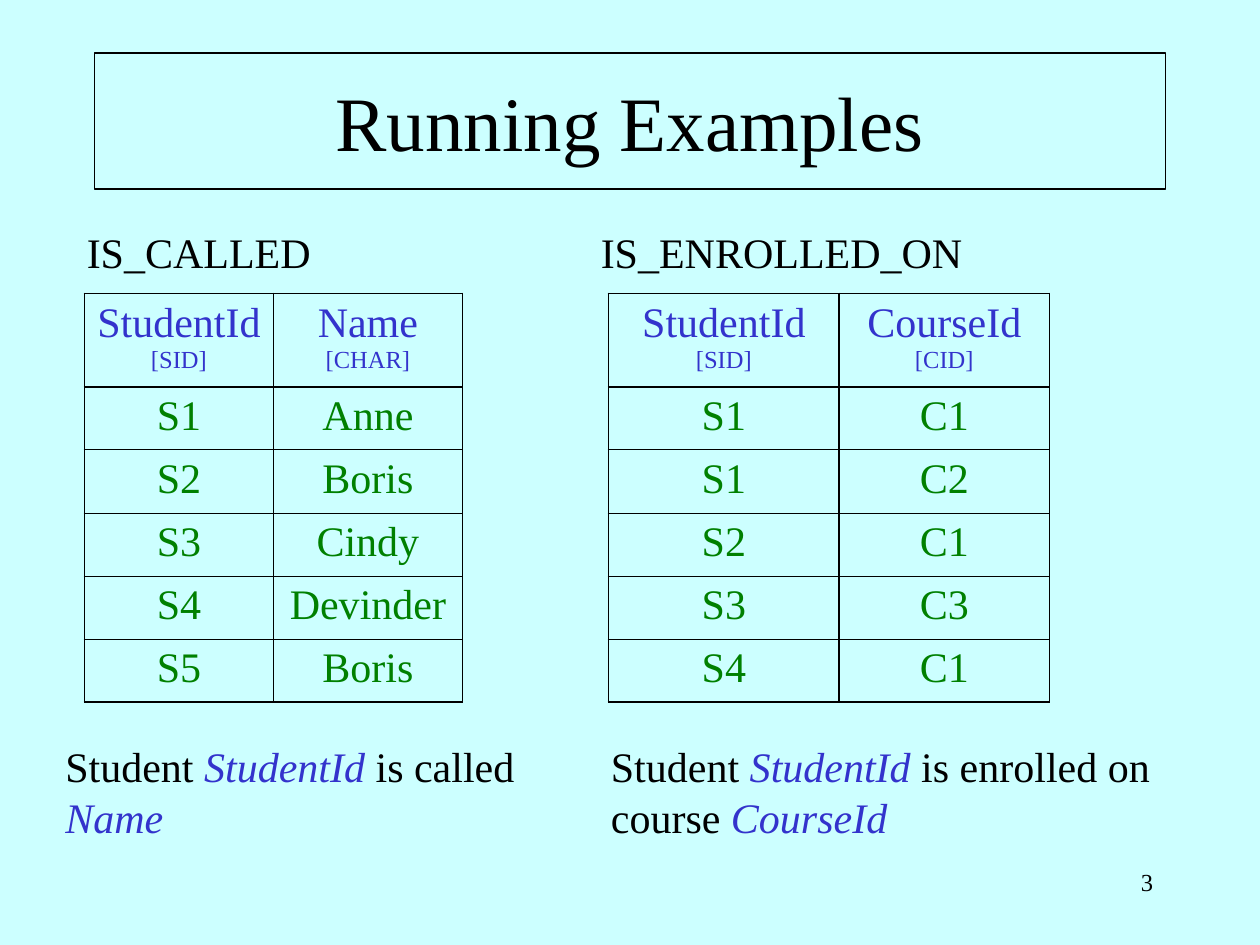
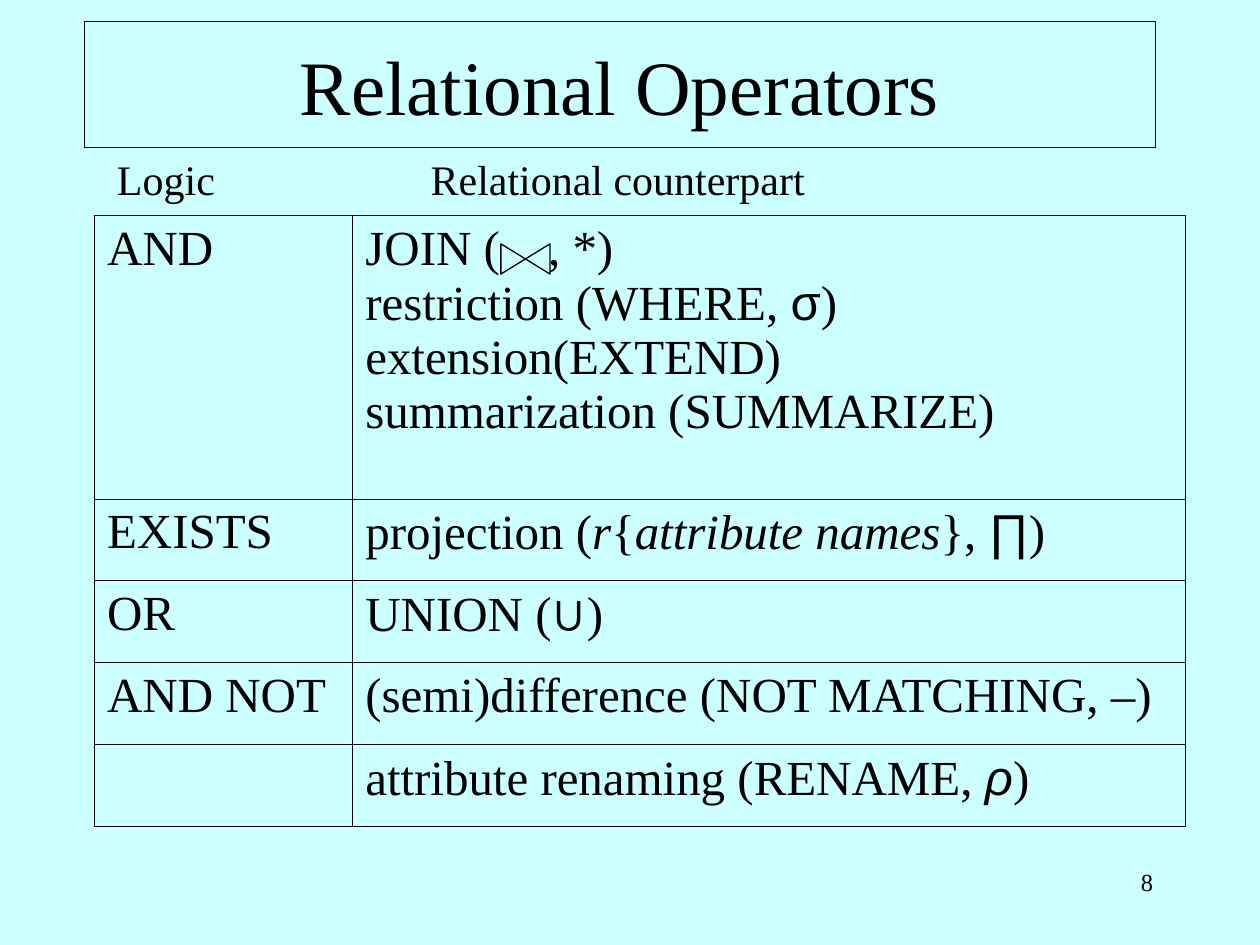
from lxml.etree import SubElement
from pptx import Presentation
from pptx.dml.color import RGBColor
from pptx.enum.shapes import MSO_SHAPE
from pptx.enum.text import MSO_ANCHOR, PP_ALIGN
from pptx.oxml.ns import qn
from pptx.util import Inches, Pt

# Shared look
BACKGROUND = "CCFFFF"
BLACK = "000000"
ATTRIBUTE_BLUE = "3333CC"
VALUE_GREEN = "008000"
SERIF = "Times New Roman"
SYMBOLS = "Arial"
THICK, THIN = 1.08, 0.45
TITLE_WIDTH = 8.5
NUMBER_BOX = (7.17, 6.83, 2.08, 0.5)


def color(hex_string):
    return RGBColor.from_string(hex_string)


def add_runs(paragraph, runs, size, hex_color=BLACK):
    """Each run is a string or a (text, overrides) pair; a newline is a line break."""
    for entry in runs:
        text, style = (entry, {}) if isinstance(entry, str) else entry
        for index, line in enumerate(text.split("\n")):
            if index:
                paragraph.add_line_break()
            if line:
                run = paragraph.add_run()
                run.text = line
                run.font.name = style.get("font", SERIF)
                run.font.size = Pt(style.get("size", size))
                run.font.italic = style.get("italic", False)
                run.font.color.rgb = color(style.get("color", hex_color))


def add_text(slide, box, runs, size=24, align=PP_ALIGN.LEFT, wrap=True):
    frame = slide.shapes.add_textbox(*map(Inches, box)).text_frame
    frame.word_wrap = wrap
    frame.paragraphs[0].alignment = align
    add_runs(frame.paragraphs[0], runs, size)


def add_outline(slide, preset, box):
    outline = slide.shapes.add_shape(preset, *map(Inches, box))
    outline.shadow.inherit = False
    outline.fill.background()
    outline.line.color.rgb = color(BLACK)
    outline.line.width = Pt(0.75)
    return outline


def start_slide(deck, title, title_box, number):
    slide = deck.slides.add_slide(deck.slide_layouts[6])
    slide.background.fill.solid()
    slide.background.fill.fore_color.rgb = color(BACKGROUND)

    # Framed title
    frame = add_outline(slide, MSO_SHAPE.RECTANGLE, title_box).text_frame
    frame.word_wrap = True
    frame.vertical_anchor = MSO_ANCHOR.MIDDLE
    frame.paragraphs[0].alignment = PP_ALIGN.CENTER
    add_runs(frame.paragraphs[0], [title], 44)

    # Slide number
    add_text(slide, NUMBER_BOX, [str(number)], 14, PP_ALIGN.RIGHT)
    return slide


def set_borders(cell, **widths):
    properties = cell._tc.get_or_add_tcPr()
    for side in ("L", "R", "T", "B"):
        line = SubElement(properties, qn(f"a:ln{side}"), w=str(Pt(widths[side])))
        fill = SubElement(line, qn("a:solidFill"))
        SubElement(fill, qn("a:srgbClr"), val=BLACK)


def add_grid(slide, left, top, column_widths, row_heights, inner_vertical, thick_rows):
    """Unfilled table with a thick frame; thick_rows are the inner rules drawn thick."""
    rows, columns = len(row_heights), len(column_widths)
    table = slide.shapes.add_table(
        rows, columns, Inches(left), Inches(top),
        Inches(sum(column_widths)), Inches(sum(row_heights))).table
    table.first_row = table.horz_banding = False
    for column, width in zip(table.columns, column_widths):
        column.width = Inches(width)
    for row, height in zip(table.rows, row_heights):
        row.height = Inches(height)

    def vertical(edge):
        return THICK if edge in (0, columns) else inner_vertical

    def horizontal(edge):
        return THICK if edge in (0, rows, *thick_rows) else THIN

    for r in range(rows):
        for c in range(columns):
            cell = table.cell(r, c)
            set_borders(cell, L=vertical(c), R=vertical(c + 1),
                        T=horizontal(r), B=horizontal(r + 1))
            cell.fill.background()
    return table


def add_relation(slide, left, top, column_widths, heading, tuples):
    """Relation with a heading of (attribute, type) pairs above its tuples."""
    table = add_grid(slide, left, top, column_widths, [0.74] + [0.5] * len(tuples),
                     inner_vertical=THICK, thick_rows=(1,))
    for c, (attribute, type_name) in enumerate(heading):
        paragraph = table.cell(0, c).text_frame.paragraphs[0]
        paragraph.alignment = PP_ALIGN.CENTER
        add_runs(paragraph, [f"{attribute}\n", (f"[{type_name}]", {"size": 14})],
                 24, ATTRIBUTE_BLUE)
    for r, values in enumerate(tuples, start=1):
        for c, value in enumerate(values):
            paragraph = table.cell(r, c).text_frame.paragraphs[0]
            paragraph.alignment = PP_ALIGN.CENTER
            add_runs(paragraph, [value], 24, VALUE_GREEN)


def build_running_examples(deck):
    slide = start_slide(deck, "Running Examples", (0.75, 0.42, TITLE_WIDTH, 1.08), 3)
    variable = {"color": ATTRIBUTE_BLUE, "italic": True}

    # Relation names
    add_text(slide, (0.59, 1.75, 1.98, 0.5), ["IS_CALLED"], wrap=False)
    add_text(slide, (4.67, 1.75, 3.07, 0.5), ["IS_ENROLLED_ON"], wrap=False)

    # Relations
    add_relation(
        slide, 0.67, 2.33, (1.5, 1.5),
        [("StudentId", "SID"), ("Name", "CHAR")],
        [("S1", "Anne"), ("S2", "Boris"), ("S3", "Cindy"),
         ("S4", "Devinder"), ("S5", "Boris")])
    add_relation(
        slide, 4.83, 2.33, (1.83, 1.67),
        [("StudentId", "SID"), ("CourseId", "CID")],
        [("S1", "C1"), ("S1", "C2"), ("S2", "C1"), ("S3", "C3"), ("S4", "C1")])

    # Predicates
    add_text(slide, (0.42, 5.83, 3.8, 0.9),
             ["Student ", ("StudentId ", variable), "is called ", ("Name", variable)])
    add_text(slide, (4.75, 5.83, 4.58, 0.9),
             ["Student ", ("StudentId ", variable), "is enrolled on course ",
              ("CourseId", variable)])


def add_operator_table(slide, left, top):
    symbol, italic = {"font": SYMBOLS}, {"italic": True}
    operators = [
        ("AND", ["JOIN (\t, *)\nrestriction (WHERE, ", ("σ", symbol),
                 ")\nextension(EXTEND)\nsummarization (SUMMARIZE)"]),
        ("EXISTS", ["projection (", ("r", italic), "{", ("attribute names", italic),
                    "}, ", ("∏", symbol), ")"]),
        ("OR", ["UNION (", ("∪", symbol), ")"]),
        ("AND NOT", ["(semi)difference (NOT MATCHING, ", ("–", italic), ")"]),
        ("", ["attribute renaming (RENAME, ", ("ρ", {**symbol, **italic}), ")"]),
    ]
    table = add_grid(slide, left, top, (2.05, 6.61), [2.25] + [0.65] * 4,
                     inner_vertical=THIN, thick_rows=())

    # Tab stop that leaves room for the join symbol
    join_properties = table.cell(0, 1).text_frame.paragraphs[0]._p.get_or_add_pPr()
    tab_stops = SubElement(join_properties, qn("a:tabLst"))
    SubElement(tab_stops, qn("a:tab"), pos=str(Inches(1.45)), algn="l")

    for r, (logic, counterpart) in enumerate(operators):
        add_runs(table.cell(r, 0).text_frame.paragraphs[0], [logic], 28)
        add_runs(table.cell(r, 1).text_frame.paragraphs[0], counterpart, 28)

    # Join symbol
    bowtie = add_outline(slide, MSO_SHAPE.FLOWCHART_COLLATE,
                         (left + 3.3, top + 0.15, 0.24, 0.39))
    bowtie.rotation = 270


def build_relational_operators(deck):
    slide = start_slide(deck, "Relational Operators", (0.67, 0.17, TITLE_WIDTH, 1), 8)
    add_text(slide, (0.83, 1.17, 0.98, 0.5), ["Logic"], wrap=False)
    add_text(slide, (3.32, 1.17, 3.17, 0.5), ["Relational counterpart"], wrap=False)
    add_operator_table(slide, 0.75, 1.71)


def main():
    deck = Presentation()
    deck.slide_width, deck.slide_height = Inches(10), Inches(7.5)
    build_running_examples(deck)
    build_relational_operators(deck)
    deck.save("out.pptx")


if __name__ == "__main__":
    main()
